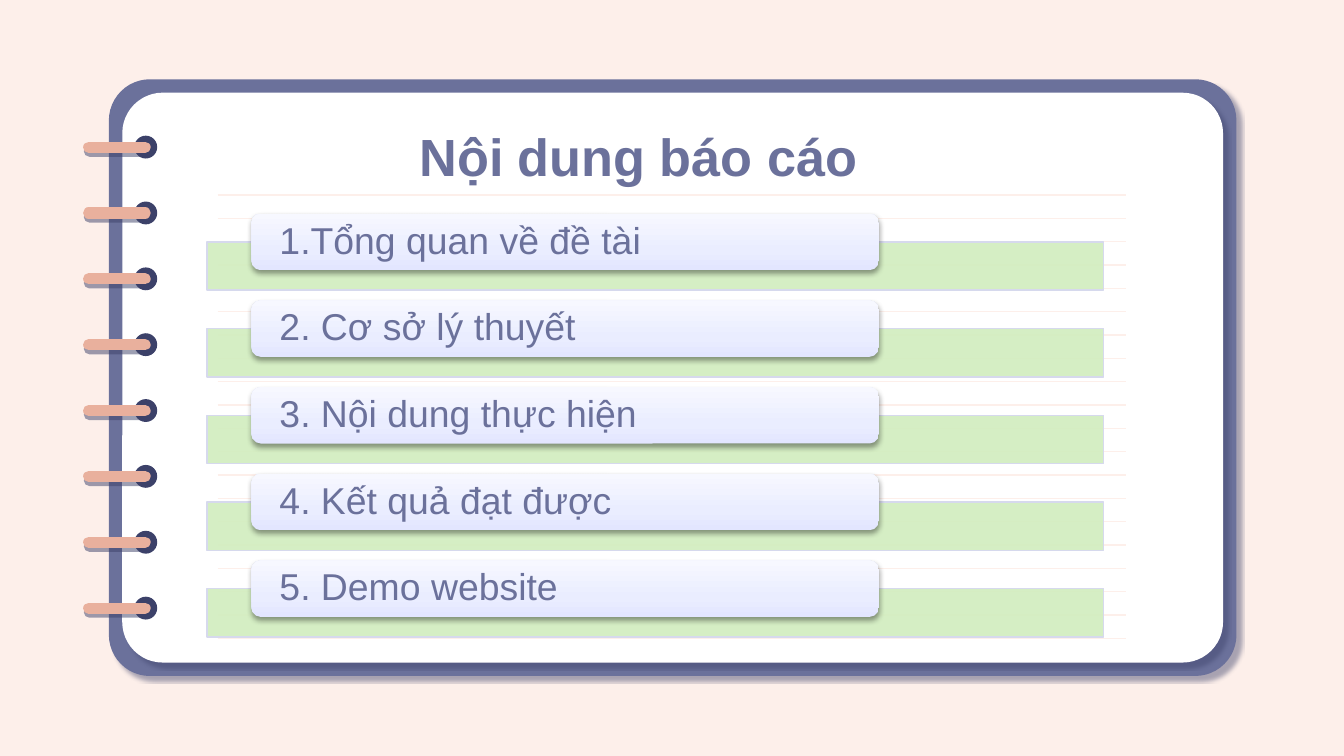
from lxml.etree import SubElement
from pptx import Presentation
from pptx.dml.color import RGBColor
from pptx.enum.shapes import MSO_CONNECTOR, MSO_SHAPE
from pptx.enum.text import MSO_ANCHOR, MSO_AUTO_SIZE, PP_ALIGN
from pptx.oxml import parse_xml
from pptx.oxml.ns import nsdecls, qn
from pptx.util import Inches, Pt

COLORS = {
    "background": "FDEFEA", "cover": "6B719B", "page": "FFFFFF",
    "dark": "3C4169", "ring": "E9B09D", "text": "6B719B",
    "band": "D1EDBE", "band_line": "D6D9ED", "black": "000000",
}
BAR_GRADIENT = [(0, "E3E6FF"), (35, "EAEDFF"), (100, "F7F8FF")]
PAGE_SHADOW = ("dark", 44, 1.1, 4.5, 44)
RING_SHADOW = ("dark", 50, 0, 2.2, 80)
BAR_SHADOW = ("black", 38, 3.1, 1.6, 90)
TOPICS = [
    "1.Tổng quan về đề tài",
    "2. Cơ sở lý thuyết",
    "3. Nội dung thực hiện",
    "4. Kết quả đạt được",
    "5. Demo website",
]


def rgb(name):
    """Return the named colour."""
    return RGBColor.from_string(COLORS[name])


def set_effects(shape, shadow=None):
    """Replace the theme shadow by none, or by (colour, alpha, blur, distance, angle)."""
    effects = SubElement(shape.element.spPr, qn("a:effectLst"))
    if shadow:
        color, alpha, blur, distance, angle = shadow
        effects.append(parse_xml(
            f'<a:outerShdw {nsdecls("a")} blurRad="{Pt(blur)}" dist="{Pt(distance)}" '
            f'dir="{angle * 60000}" algn="bl" rotWithShape="0">'
            f'<a:srgbClr val="{COLORS[color]}"><a:alpha val="{alpha * 1000}"/></a:srgbClr>'
            '</a:outerShdw>'))


def add_box(slide, kind, box, fill=None, line=None, shadow=None, radius=None):
    """Add a preset shape in box (left, top, width, height)."""
    shape = slide.shapes.add_shape(kind, *map(Inches, box))
    if radius is not None:
        shape.adjustments[0] = radius
    if fill:
        shape.fill.solid()
        shape.fill.fore_color.rgb = rgb(fill)
    else:
        shape.fill.background()
    if line:
        shape.line.color.rgb = rgb(line)
        shape.line.width = Pt(0.75)
    else:
        shape.line.fill.background()
    set_effects(shape, shadow)
    return shape


def add_rule(slide, left, right, y, color, width, shadow=None):
    """Add a horizontal line."""
    rule = slide.shapes.add_connector(
        MSO_CONNECTOR.STRAIGHT, Inches(left), Inches(y), Inches(right), Inches(y))
    rule.line.color.rgb = rgb(color)
    rule.line.width = Pt(width)
    set_effects(rule, shadow)
    return rule


def add_notebook(slide, left, top, width, height):
    """Draw the cover, the ruled page and the ring binding."""
    margin = 0.1
    add_box(slide, MSO_SHAPE.ROUNDED_RECTANGLE, (left, top, width, height),
            "cover", shadow=PAGE_SHADOW, radius=0.069)
    add_box(slide, MSO_SHAPE.ROUNDED_RECTANGLE,
            (left + margin, top + margin, width - 2 * margin, height - 2 * margin),
            "page", shadow=PAGE_SHADOW, radius=0.071)

    rule_count, rules_height = 20, 3.3
    for index in range(rule_count):
        y = top + 0.86 + index * rules_height / (rule_count - 1)
        add_rule(slide, left + 0.81, left + width - 0.82, y, "background", 0.75)

    hole, ring_gap = 0.17, 0.49
    for index in range(8):
        y = top + 0.42 + index * ring_gap
        add_box(slide, MSO_SHAPE.OVAL, (left + 0.19, y, hole, hole), "dark")
        ring = add_rule(slide, left - 0.15, left + 0.27, y + hole / 2, "ring", 6, RING_SHADOW)
        ring.element.spPr.find(qn("a:ln")).set("cap", "rnd")


def add_title(slide, left, top, width, height):
    """Fill the title placeholder and bring it in front of the page."""
    title = slide.shapes.title
    title.left, title.top, title.width, title.height = map(
        Inches, (left, top, width, height))
    title.element.getparent().append(title.element)
    frame = title.text_frame
    frame.text = "Nội dung báo cáo"
    frame.auto_size = MSO_AUTO_SIZE.NONE
    frame.vertical_anchor = MSO_ANCHOR.MIDDLE
    frame.margin_left = frame.margin_right = Inches(0.1)
    frame.margin_top = frame.margin_bottom = Inches(0.1)
    format_paragraph(frame.paragraphs[0], 28, PP_ALIGN.CENTER, bold=True)


def format_paragraph(paragraph, size, alignment, bold=False):
    """Set the font and alignment of a paragraph."""
    paragraph.alignment = alignment
    paragraph.font.name = "Arial"
    paragraph.font.size = Pt(size)
    paragraph.font.bold = bold
    paragraph.font.color.rgb = rgb("text")


def set_gradient(shape, stops, angle):
    """Replace the empty fill of a shape by a linear gradient."""
    stop_xml = "".join(
        f'<a:gs pos="{position * 1000}"><a:srgbClr val="{color}"/></a:gs>'
        for position, color in stops)
    properties = shape.element.spPr
    properties.replace(properties.find(qn("a:noFill")), parse_xml(
        f'<a:gradFill {nsdecls("a")} rotWithShape="1"><a:gsLst>{stop_xml}</a:gsLst>'
        f'<a:lin ang="{angle * 60000}" scaled="0"/></a:gradFill>'))


def add_topic(slide, left, top, width, text):
    """Draw one topic: green band, raised bar and its text."""
    band = add_box(slide, MSO_SHAPE.RECTANGLE, (left, top + 0.21, width, 0.36),
                   "band", line="band_line")
    band_color = band.element.spPr.find(qn("a:solidFill"))[0]
    SubElement(band_color, qn("a:alpha")).set("val", "90000")

    bar = add_box(slide, MSO_SHAPE.ROUNDED_RECTANGLE,
                  (left + 0.33, top, 0.7 * width, 0.42), shadow=BAR_SHADOW)
    set_gradient(bar, BAR_GRADIENT, 270)

    label = slide.shapes.add_textbox(
        *map(Inches, (left + 0.36, top + 0.02, 0.7 * width - 0.04, 0.38)))
    frame = label.text_frame
    frame.word_wrap = True
    frame.vertical_anchor = MSO_ANCHOR.MIDDLE
    frame.margin_left = frame.margin_right = Inches(0.18)
    frame.margin_top = frame.margin_bottom = 0
    frame.text = text
    paragraph = frame.paragraphs[0]
    paragraph.line_spacing = 0.9
    format_paragraph(paragraph, 20, PP_ALIGN.LEFT)


def add_topics(slide, left, top, width, height):
    """Stack the topics evenly, the first and last starts height apart."""
    step = height / (len(TOPICS) - 1)
    for index, text in enumerate(TOPICS):
        add_topic(slide, left, top + index * step, width, text)


def main():
    """Build and save the agenda slide in 16:9."""
    presentation = Presentation()
    presentation.slide_width = Inches(10)
    presentation.slide_height = presentation.slide_width * 9 // 16
    slide = presentation.slides.add_slide(presentation.slide_layouts[5])
    slide.background.fill.solid()
    slide.background.fill.fore_color.rgb = rgb("background")
    add_notebook(slide, 0.81, 0.59, 8.39, 4.44)
    add_title(slide, 1.54, 0.93, 6.42, 0.46)
    add_topics(slide, 1.54, 1.59, 6.67, 2.58)
    presentation.save("out.pptx")


main()
